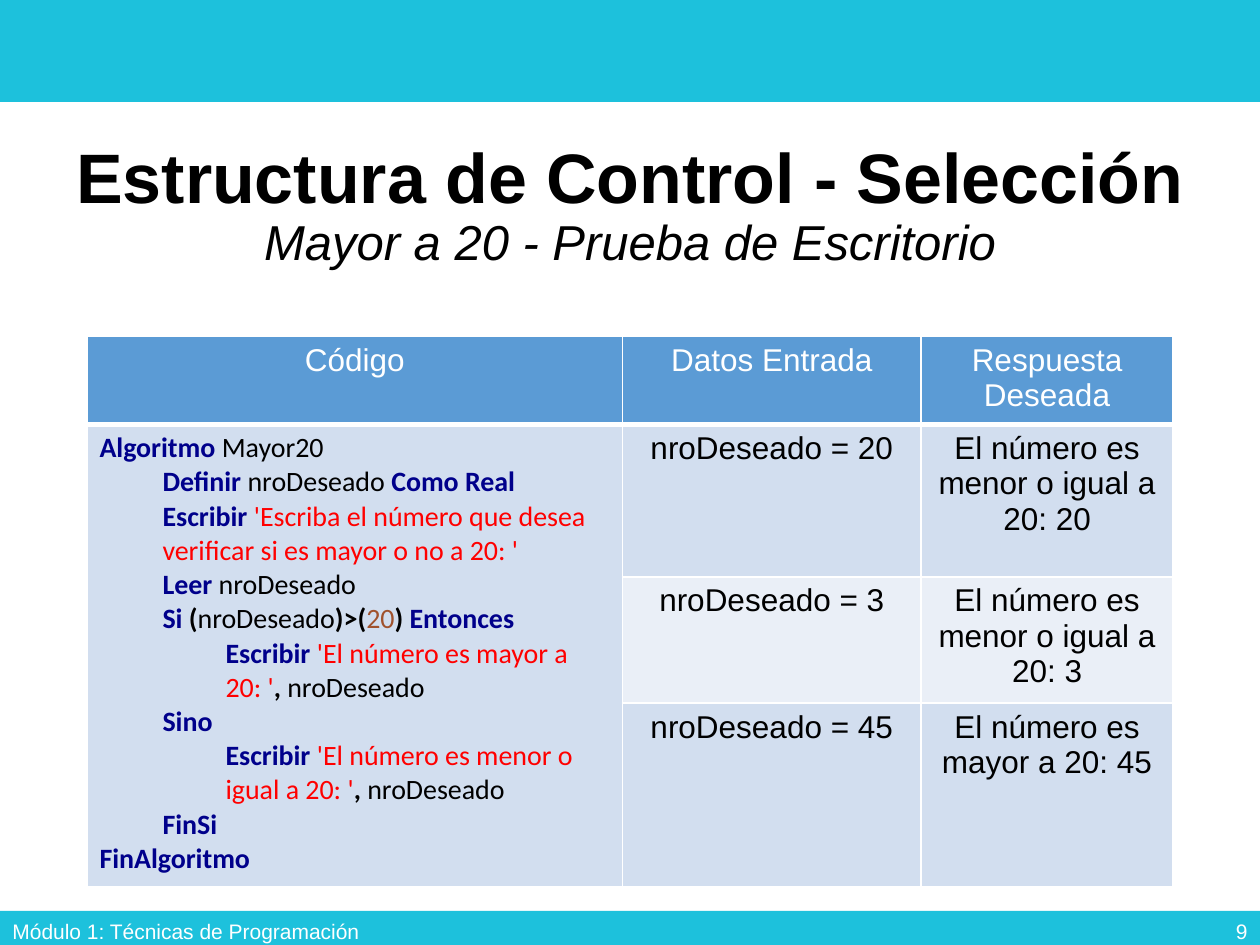
from pptx import Presentation
from pptx.dml.color import RGBColor
from pptx.enum.shapes import MSO_SHAPE
from pptx.enum.text import MSO_ANCHOR, PP_ALIGN
from pptx.oxml.ns import qn
from pptx.util import Inches, Pt
from lxml.etree import SubElement

THEME = {
    "font": "Arial", "code_font": "Calibri",
    "title": 40, "subtitle": 28, "cell": 18, "code": 16, "footer": 12,
    "bar": "1DC1DC", "white": "FFFFFF", "black": "000000",
    "header_fill": "5B9BD5", "band_fills": ("D2DEEF", "EAEFF7"),
}
# Code token kinds: colour, bold
TOKENS = {
    "keyword": ("00008B", True), "name": ("000000", False),
    "symbol": ("000000", True), "string": ("FF0000", False),
    "number": ("A0522D", False),
}

TITLE = "Estructura de Control - Selección"
SUBTITLE = "Mayor a 20 - Prueba de Escritorio"
FOOTER = "Módulo 1: Técnicas de Programación"
PAGE_NUMBER = "9"
HEADERS = ["Código", "Datos Entrada", "Respuesta Deseada"]
CASES = [
    ("nroDeseado = 20", "El número es menor o igual a 20: 20"),
    ("nroDeseado = 3", "El número es menor o igual a 20: 3"),
    ("nroDeseado = 45", "El número es mayor a 20: 45"),
]
# Indent level, then (text, token kind) pairs
CODE = [
    (0, [("Algoritmo", "keyword"), (" Mayor20", "name")]),
    (1, [("Definir ", "keyword"), ("nroDeseado ", "name"), ("Como Real", "keyword")]),
    (1, [("Escribir ", "keyword"),
         ("'Escriba el número que desea verificar si es mayor o no a 20: '", "string")]),
    (1, [("Leer ", "keyword"), ("nroDeseado", "name")]),
    (1, [("Si ", "keyword"), ("(", "symbol"), ("nroDeseado", "name"), (")>(", "symbol"),
         ("20", "number"), (") ", "symbol"), ("Entonces", "keyword")]),
    (2, [("Escribir ", "keyword"), ("'El número es mayor a 20: '", "string"),
         (", ", "symbol"), ("nroDeseado", "name")]),
    (1, [("Sino", "keyword")]),
    (2, [("Escribir ", "keyword"), ("'El número es menor o igual a 20: '", "string"),
         (", ", "symbol"), ("nroDeseado", "name")]),
    (1, [("FinSi", "keyword")]),
    (0, [("FinAlgoritmo", "keyword")]),
]
BARS = [(0, 0.81), (7.23, 0.31)]  # top, height
COLUMN_WIDTHS = [4.25, 2.37, 2]
ROW_HEIGHTS = [0.66, 1.21, 0.94, 1.46]
INDENT = 0.5


def style(run, size, color, bold=False, italic=False, font=THEME["font"]):
    run.font.name = font
    run.font.size = Pt(size)
    run.font.bold = bold
    run.font.italic = italic
    run.font.color.rgb = RGBColor.from_string(color)


def add_bar(slide, top, height):
    bar = slide.shapes.add_shape(
        MSO_SHAPE.RECTANGLE, 0, Inches(top), Inches(10), Inches(height))
    bar.shadow.inherit = False
    bar.fill.solid()
    bar.fill.fore_color.rgb = RGBColor.from_string(THEME["bar"])
    bar.line.fill.background()


def add_text_box(slide, left, top, width, height, alignment):
    """Add a wrapped, vertically centred box and return its first paragraph."""
    box = slide.shapes.add_textbox(
        Inches(left), Inches(top), Inches(width), Inches(height))
    box.text_frame.word_wrap = True
    box.text_frame.vertical_anchor = MSO_ANCHOR.MIDDLE
    paragraph = box.text_frame.paragraphs[0]
    paragraph.alignment = alignment
    return paragraph


def add_title(slide):
    paragraph = add_text_box(slide, 0, 0.98, 10, 1.33, PP_ALIGN.CENTER)
    paragraph.line_spacing = 0.9
    paragraph.text = f"{TITLE}\v{SUBTITLE}"
    title, subtitle = paragraph.runs
    style(title, THEME["title"], THEME["black"], bold=True)
    style(subtitle, THEME["subtitle"], THEME["black"], italic=True)


def add_footer(slide, text, left, width, alignment):
    paragraph = add_text_box(slide, left, 7.19, width, 0.4, alignment)
    paragraph.text = text
    style(paragraph.runs[0], THEME["footer"], THEME["white"])


def format_cell(cell, row):
    """Draw white borders, thicker under the header, and fill the cell by band."""
    properties = cell._tc.get_or_add_tcPr()
    thick_side = {0: "lnB", 1: "lnT"}.get(row)
    for side in ("lnL", "lnR", "lnT", "lnB"):
        width = Pt(3 if side == thick_side else 1)
        line = SubElement(properties, qn(f"a:{side}"), w=str(width))
        fill = SubElement(line, qn("a:solidFill"))
        SubElement(fill, qn("a:srgbClr"), val=THEME["white"])
    color = THEME["band_fills"][(row - 1) % 2] if row else THEME["header_fill"]
    cell.fill.solid()
    cell.fill.fore_color.rgb = RGBColor.from_string(color)


def write_cell(cell, text, color):
    cell.text_frame.text = text
    paragraph = cell.text_frame.paragraphs[0]
    paragraph.alignment = PP_ALIGN.CENTER
    style(paragraph.runs[0], THEME["cell"], color)


def write_code(cell):
    frame = cell.text_frame
    for index, (level, tokens) in enumerate(CODE):
        paragraph = frame.add_paragraph() if index else frame.paragraphs[0]
        paragraph.level = level
        properties = paragraph._p.get_or_add_pPr()
        properties.set("marL", str(Inches(INDENT * level)))
        properties.set("indent", "0")
        for text, kind in tokens:
            run = paragraph.add_run()
            run.text = text
            color, bold = TOKENS[kind]
            style(run, THEME["code"], color, bold, font=THEME["code_font"])


def add_desk_check_table(slide):
    table = slide.shapes.add_table(
        len(ROW_HEIGHTS), len(COLUMN_WIDTHS), Inches(0.69), Inches(2.67),
        Inches(sum(COLUMN_WIDTHS)), Inches(sum(ROW_HEIGHTS))).table
    for column, width in zip(table.columns, COLUMN_WIDTHS):
        column.width = Inches(width)
    for row, height in enumerate(ROW_HEIGHTS):
        table.rows[row].height = Inches(height)
        for cell in table.rows[row].cells:
            format_cell(cell, row)
    for column, header in enumerate(HEADERS):
        write_cell(table.cell(0, column), header, THEME["white"])
    for row, case in enumerate(CASES, start=1):
        for column, text in enumerate(case, start=1):
            write_cell(table.cell(row, column), text, THEME["black"])
    code_cell = table.cell(1, 0)
    code_cell.merge(table.cell(len(CASES), 0))
    write_code(code_cell)


def main():
    presentation = Presentation()
    presentation.slide_width = Inches(10)
    presentation.slide_height = Inches(7.5)
    slide = presentation.slides.add_slide(presentation.slide_layouts[6])
    for top, height in BARS:
        add_bar(slide, top, height)
    add_title(slide)
    add_footer(slide, FOOTER, 0, 3.38, PP_ALIGN.LEFT)
    add_footer(slide, PAGE_NUMBER, 7.75, 2.25, PP_ALIGN.RIGHT)
    add_desk_check_table(slide)
    presentation.save("out.pptx")


if __name__ == "__main__":
    main()
